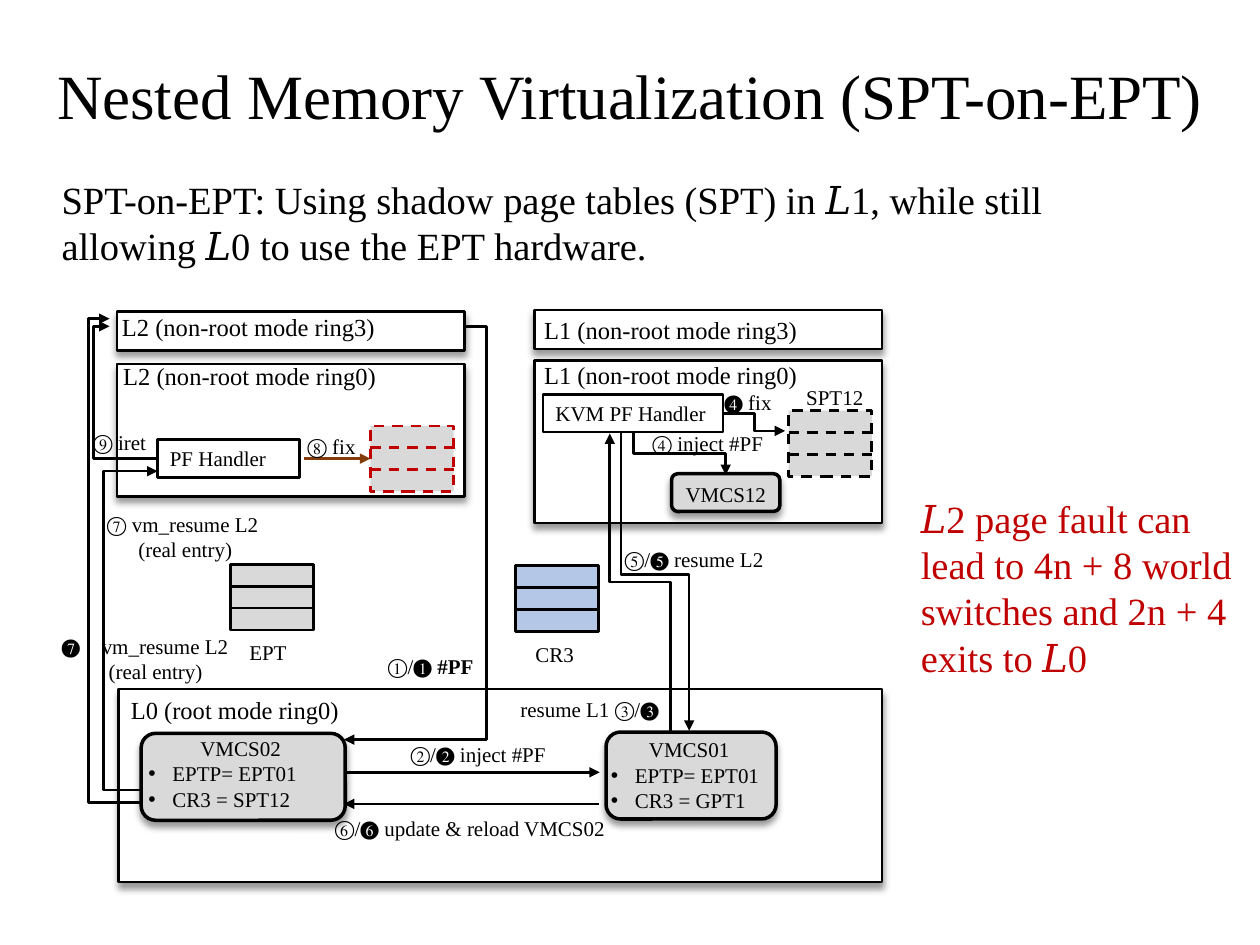
import dataclasses

import lxml.etree
import pptx
import pptx.dml.color
import pptx.enum.dml
import pptx.enum.shapes
import pptx.enum.text
import pptx.oxml.ns
import pptx.util

SLIDE_WIDTH, SLIDE_HEIGHT = pptx.util.Inches(10), pptx.util.Inches(7.5)
COLUMN, ROW = SLIDE_WIDTH / 100, SLIDE_HEIGHT / 75
SHAPES = pptx.enum.shapes.MSO_SHAPE
CONNECTORS = pptx.enum.shapes.MSO_CONNECTOR
ALIGN = pptx.enum.text.PP_ALIGN
DASH = pptx.enum.dml.MSO_LINE.DASH


@dataclasses.dataclass(frozen=True)
class Theme:
    """Colours, type sizes and line widths of the slide."""
    font: str = "Times New Roman"
    ink: str = "000000"
    paper: str = "FFFFFF"
    grey: str = "D9D9D9"
    blue: str = "B4C7E7"
    red: str = "C00000"
    brown: str = "843C0B"
    title: int = 36
    body: int = 22
    panel: int = 14
    label: int = 12
    thin: float = 1.5
    thick: float = 2


@dataclasses.dataclass(frozen=True)
class Line:
    """One paragraph with its layout, indents given in columns."""
    text: str
    bold: str = ""
    align: ALIGN = ALIGN.LEFT
    margin: float = 0
    indent: float = 0
    bullet: str = ""


THEME = Theme()


def x(columns):
    """Return a horizontal length from grid columns."""
    return round(columns * COLUMN)


def y(rows):
    """Return a vertical length from grid rows."""
    return round(rows * ROW)


def rgb(colour):
    """Return a colour object for a hex string."""
    return pptx.dml.color.RGBColor.from_string(colour)


def assign(target, values):
    """Set each named format value on the target."""
    for name, value in values.items():
        setattr(target, name, value)


def add_xml(parent, tag, **attributes):
    """Append a drawing element and return it."""
    return lxml.etree.SubElement(parent, pptx.oxml.ns.qn(tag), attributes)


def write(frame, lines, size, colour=THEME.ink):
    """Fill a text frame with paragraphs in one type style."""
    assign(frame, {"word_wrap": True, "vertical_anchor": pptx.enum.text.MSO_ANCHOR.TOP,
                   "auto_size": pptx.enum.text.MSO_AUTO_SIZE.SHAPE_TO_FIT_TEXT})
    for index, line in enumerate(lines):
        paragraph = frame.add_paragraph() if index else frame.paragraphs[0]
        paragraph.alignment = line.align
        layout = paragraph._p.get_or_add_pPr()
        layout.set("marL", str(x(line.margin)))
        layout.set("indent", str(x(line.indent)))
        if line.bullet:
            add_xml(layout, "a:buFont", typeface="Arial")
            add_xml(layout, "a:buChar", char=line.bullet)
        for words, bold in ((line.text, False), (line.bold, True)):
            if words:
                run = paragraph.add_run()
                run.text = words
                assign(run.font, {"name": THEME.font, "size": pptx.util.Pt(size), "bold": bold})
                run.font.color.rgb = rgb(colour)


def add_label(slide, left, top, width, height, *lines, size=THEME.label, colour=THEME.ink):
    """Add a text box whose plain strings become simple paragraphs."""
    box = slide.shapes.add_textbox(x(left), y(top), x(width), y(height))
    write(box.text_frame, [Line(line) if isinstance(line, str) else line for line in lines],
          size, colour)


def style_line(line, colour, weight, dash=None):
    """Set colour, width and dash of an outline or connector."""
    line.color.rgb = rgb(colour)
    assign(line, {"width": pptx.util.Pt(weight), "dash_style": dash})


def add_box(slide, left, top, width, height, fill=None, shape=SHAPES.RECTANGLE,
            colour=THEME.ink, weight=THEME.thin, dash=None, raised=False):
    """Add an outlined box, optionally filled and with a soft shadow."""
    box = slide.shapes.add_shape(shape, x(left), y(top), x(width), y(height))
    box.shadow.inherit = False
    if fill:
        box.fill.solid()
        box.fill.fore_color.rgb = rgb(fill)
    else:
        box.fill.background()
    style_line(box.line, colour, weight, dash)
    if raised:
        effects = box._element.spPr.find(pptx.oxml.ns.qn("a:effectLst"))
        shadow = add_xml(effects, "a:outerShdw", blurRad=str(pptx.util.Pt(4)),
                         dist=str(pptx.util.Pt(3)), dir="5400000", algn="t", rotWithShape="0")
        add_xml(add_xml(shadow, "a:srgbClr", val=THEME.ink), "a:alpha", val="40000")
    return box


def add_handler(slide, left, top, width, name):
    """Add a named page-fault handler box."""
    box = add_box(slide, left, top, width, 3)
    write(box.text_frame, [Line(name)], THEME.label)


def add_vmcs(slide, left, top, width, height):
    """Add the rounded box of a control structure."""
    add_box(slide, left, top, width, height, THEME.grey, SHAPES.ROUNDED_RECTANGLE,
            weight=THEME.thick, raised=True)


def add_vmcs_fields(slide, left, top, width, name, *fields):
    """Add the heading and bulleted fields of a control structure."""
    bullets = [Line(field, margin=1.9, indent=-1.9, bullet="•") for field in fields]
    add_label(slide, left, top, width, 7.1, Line(name, align=ALIGN.CENTER), *bullets)


def add_wire(slide, start, end, kind=CONNECTORS.STRAIGHT, colour=THEME.ink, dash=None, arrow=True):
    """Add a connector between two grid points."""
    wire = slide.shapes.add_connector(kind, x(start[0]), y(start[1]), x(end[0]), y(end[1]))
    style_line(wire.line, colour, THEME.thin, dash)
    if arrow:
        add_xml(wire.line._get_or_add_ln(), "a:tailEnd", type="triangle")
    add_xml(wire._element.spPr, "a:effectLst")
    return wire


def add_elbow(slide, start, end, bend, upright=False):
    """Add a three-part arrow turning at the given column, or row if upright."""
    axis = int(upright)
    share = (bend - start[axis]) / (end[axis] - start[axis])
    if upright:
        middle = [(a + b) / 2 for a, b in zip(start, end)]
        across, down = (end[0] - start[0]) / 2, (end[1] - start[1]) / 2
        start = middle[0] - down, middle[1] + across
        end = middle[0] + down, middle[1] - across
    wire = add_wire(slide, start, end, CONNECTORS.ELBOW)
    properties = wire._element.spPr
    if upright:
        properties.find(pptx.oxml.ns.qn("a:xfrm")).set("rot", "5400000")
    guides = properties.find(".//" + pptx.oxml.ns.qn("a:avLst"))
    add_xml(guides, "a:gd", name="adj1", fmla=f"val {round(share * 100000)}")


def add_page_table(slide, left, top, fill, colour=THEME.ink, dash=None):
    """Add a page table of three equal rows and return its frame."""
    width, height = 6.6, 5.2
    frame = add_box(slide, left, top, width, height, fill, colour=colour, dash=dash)
    for third in (1, 2):
        level = top + height * third / 3
        add_wire(slide, (left, level), (left + width, level), colour=colour, dash=dash, arrow=False)
    return frame


def add_panels(slide):
    """Add the privilege-level panels and their names."""
    for left, top, width, height in ((9.3, 24.7, 27.6, 3.1), (9.4, 54.7, 60.6, 15.3),
                                     (9.3, 28.9, 27.6, 10.5), (42.4, 24.6, 27.6, 3.1),
                                     (42.4, 28.6, 27.6, 12.9)):
        add_box(slide, left, top, width, height, THEME.paper, raised=True)
    for left, top, name in ((9.4, 54.7, "L0 (root mode ring0)"),
                            (8.8, 28.2, "L2 (non-root mode ring0)"),
                            (8.7, 24.3, "L2 (non-root mode ring3)"),
                            (42.2, 28.1, "L1 (non-root mode ring0)"),
                            (42.2, 24.5, "L1 (non-root mode ring3)")):
        add_label(slide, left, top, 28, 3.4, name, size=THEME.panel)


def add_flow(slide, guest_table):
    """Add the arrows between levels."""
    for start, end, bend, upright in (
            ((36.9, 25.9), (27.3, 58.7), 38.6, False), ((53.2, 58), (48.4, 34.4), 46.2, True),
            ((50.3, 34.3), (57.6, 37.7), 36, True), ((49.3, 34.3), (54.7, 58), 45.6, True),
            ((11.2, 62.7), (12.5, 37.4), 8.2, False), ((12.5, 36.4), (8.7, 25.9), 7.4, False),
            ((57.4, 32.8), (62.3, 34.2), 59.9, False), ((11.2, 63.7), (8.7, 25.3), 7, False)):
        add_elbow(slide, start, end, bend, upright)
    add_wire(slide, (27.4, 61.3), (47.6, 61.3))
    add_wire(slide, (47.5, 63.8), (27.3, 63.8))
    fix = add_wire(slide, (24.1, 36.4), (29.4, 36.4), colour=THEME.brown)
    fix.end_connect(guest_table, 1)


def add_steps(slide):
    """Add the numbered steps and the names of the tables."""
    for left, top, width, line in (
            (18.8, 50.3, 11.2, "EPT"), (41.5, 50.4, 8.8, "CR3"), (63, 30, 9.1, "SPT12"),
            (29.8, 51.4, 10, Line("①/❶ ", bold="#PF")), (31.6, 58.4, 18.5, "②/❷ inject #PF"),
            (38.8, 54.8, 14.5, Line("resume L1 ③/❸", align=ALIGN.RIGHT)),
            (50.8, 33.7, 12.7, "④ inject #PF"), (48.6, 42.9, 14.9, "⑤/❺ resume L2"),
            (25.6, 64.2, 24.8, "⑥/❻ update & reload VMCS02"), (23.4, 33.9, 6.8, "⑧ fix"),
            (6.4, 33.6, 14.5, "⑨ iret"), (56.5, 30.4, 6.9, "❹ fix"), (3.9, 49.8, 3.6, "❼"),
            (53, 37.7, 9.2, Line("VMCS12", align=ALIGN.CENTER))):
        add_label(slide, left, top, width, 3, line)
    for left, top, heading, margin in ((7.5, 40.1, "⑦ vm_resume L2", 2.5),
                                       (7.1, 49.8, "vm_resume L2", 0.55)):
        add_label(slide, left, top, 14, 5, heading, Line("(real entry)", margin=margin))


def main():
    """Build the slide and save it."""
    deck = pptx.Presentation()
    assign(deck, {"slide_width": SLIDE_WIDTH, "slide_height": SLIDE_HEIGHT})
    slide = deck.slides.add_slide(deck.slide_layouts[6])
    add_label(slide, 0, 4, 100, 6.8, Line("Nested Memory Virtualization (SPT-on-EPT)",
                                          align=ALIGN.CENTER), size=THEME.title)
    add_label(slide, 3.9, 13.5, 91.2, 8.4, "SPT-on-EPT: Using shadow page tables (SPT) in 𝐿1, "
              "while still allowing 𝐿0 to use the EPT hardware.", size=THEME.body)
    add_panels(slide)
    add_handler(slide, 12.5, 34.9, 11.3, "PF Handler")
    add_handler(slide, 43.1, 31.3, 14.3, "KVM PF Handler")
    add_page_table(slide, 18.3, 44.8, THEME.grey)
    add_page_table(slide, 40.9, 44.9, THEME.blue)
    add_page_table(slide, 62.6, 32.6, THEME.grey, dash=DASH)
    guest_table = add_page_table(slide, 29.4, 33.8, THEME.grey, THEME.red, DASH)
    add_vmcs(slide, 48.1, 58.1, 13.5, 6.9)
    add_vmcs(slide, 53.3, 37.6, 8.6, 3)
    add_vmcs(slide, 11.2, 58.2, 16.2, 6.9)
    add_flow(slide, guest_table)
    add_vmcs_fields(slide, 47.5, 58, 14.4, "VMCS01", "EPTP= EPT01", "CR3 = GPT1")
    add_vmcs_fields(slide, 10.8, 57.9, 16.6, "VMCS02", "EPTP= EPT01", "CR3 = SPT12")
    add_steps(slide)
    add_label(slide, 72.1, 38.8, 27.6, 15.8, "𝐿2 page fault can lead to 4n + 8 world switches "
              "and 2n + 4 exits to 𝐿0", size=THEME.body, colour=THEME.red)
    deck.save("out.pptx")


if __name__ == "__main__":
    main()
